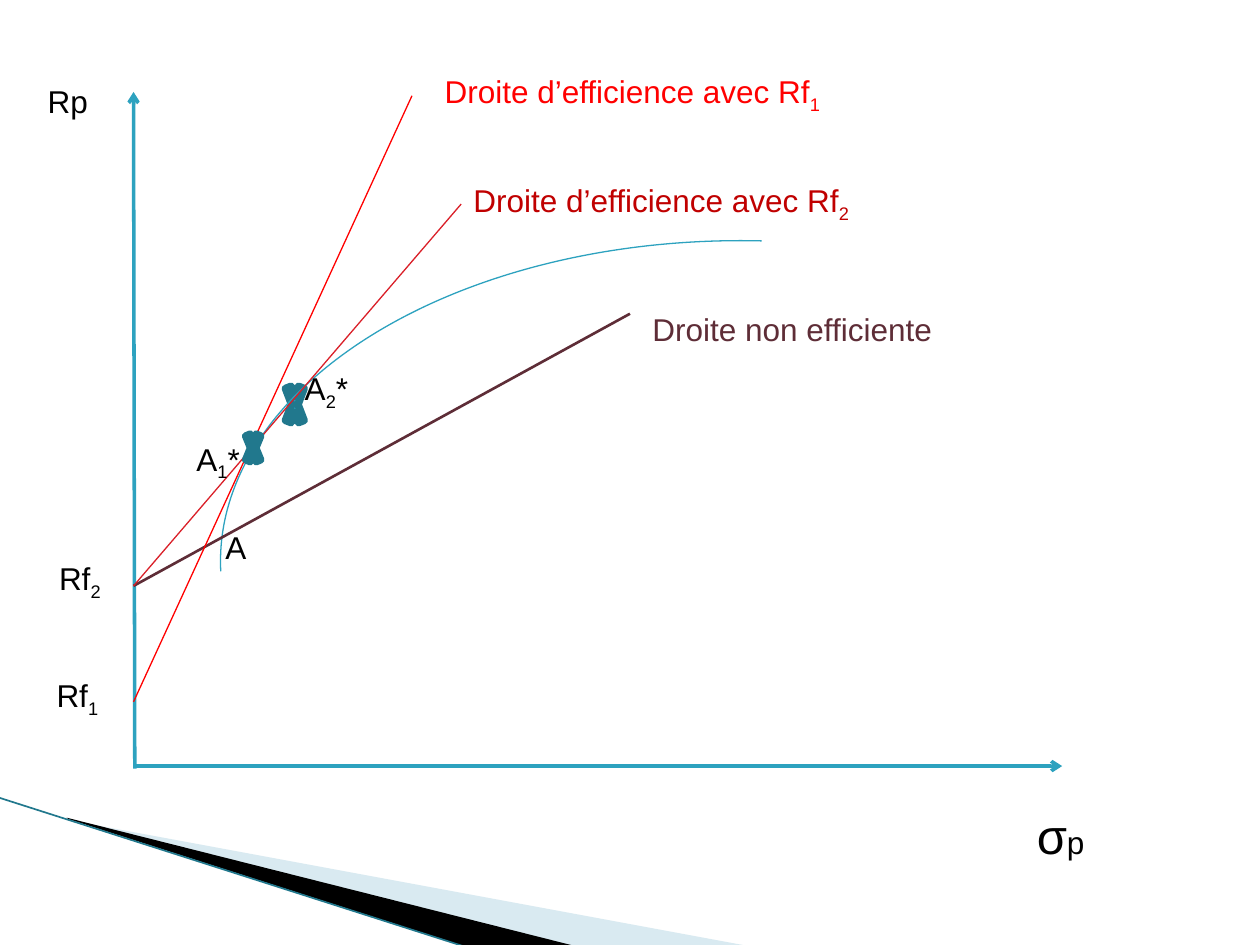
from lxml import etree
from pptx import Presentation
from pptx.dml.color import RGBColor
from pptx.enum.shapes import MSO_CONNECTOR, MSO_SHAPE
from pptx.oxml.ns import qn
from pptx.util import Inches, Pt

TEAL = RGBColor(0x2D, 0xA2, 0xBF)
DARK_TEAL = RGBColor(0x21, 0x78, 0x8D)
PALE_BLUE = RGBColor(0xA0, 0xCB, 0xDC)
BLACK = RGBColor(0, 0, 0)
PLUM = RGBColor(0x5E, 0x2D, 0x37)
CRIMSON = RGBColor(0xDA, 0x1F, 0x28)
DARK_RED = RGBColor(0xC0, 0, 0)
RED = RGBColor(0xFF, 0, 0)


def add_line(slide, start, end, color, width, arrow=False):
    line = slide.shapes.add_connector(MSO_CONNECTOR.STRAIGHT, *start, *end)
    line.line.color.rgb = color
    line.line.width = Pt(width)
    if arrow:
        etree.SubElement(line.line._get_or_add_ln(), qn("a:tailEnd"), type="arrow")
    etree.SubElement(line._element.spPr, qn("a:effectLst"))


def add_wedge(slide, points, color, opacity=100):
    builder = slide.shapes.build_freeform(*points[0], scale=1.0)
    builder.add_line_segments(points[1:], close=True)
    wedge = builder.convert_to_shape()
    wedge.shadow.inherit = False
    wedge.fill.solid()
    wedge.fill.fore_color.rgb = color
    wedge.line.fill.background()
    if opacity < 100:
        color_xml = wedge._element.spPr.find(qn("a:solidFill"))[0]
        etree.SubElement(color_xml, qn("a:alpha"), val=str(opacity * 1000))


def add_label(slide, position, width, height, runs, color=BLACK):
    """Write runs of (text, size, is_subscript) on one line."""
    label = slide.shapes.add_textbox(*position, Inches(width), Inches(height))
    label.text_frame.word_wrap = True
    paragraph = label.text_frame.paragraphs[0]
    paragraph.font.name = "Arial"
    paragraph.font.color.rgb = color
    for text, size, is_subscript in runs:
        run = paragraph.add_run()
        run.text = text
        run.font.size = Pt(size)
        if is_subscript:
            run.font._element.set("baseline", "-25000")


def indexed(base, index, suffix=""):
    runs = [(base, 18, False), (index, 18, True), (suffix, 18, False)]
    return [run for run in runs if run[0]]


def add_tangency_mark(slide, position, width, height):
    mark = slide.shapes.add_shape(
        MSO_SHAPE.MATH_MULTIPLY, *position, Inches(width), Inches(height))
    mark.shadow.inherit = False
    mark.fill.solid()
    mark.fill.fore_color.rgb = TEAL
    mark.line.color.rgb = DARK_TEAL
    mark.line.width = Pt(4.33)


def add_frontier(slide, position, width, height):
    frontier = slide.shapes.add_shape(
        MSO_SHAPE.ARC, *position, Inches(width), Inches(height))
    frontier.shadow.inherit = False
    frontier.adjustments[0] = 159.71
    frontier.adjustments[1] = 0.66
    frontier._element.spPr.find(qn("a:xfrm")).set("flipH", "1")
    frontier.fill.background()
    frontier.line.color.rgb = TEAL
    frontier.line.width = Pt(0.75)


def add_corner_decor(slide, left, top):
    def at(x, y):
        return left + Inches(x), top + Inches(y)

    add_wedge(slide, [at(0.55, 0.18), at(5.95, 1.18), at(4.56, 1.18), at(0.55, 0.17)],
              PALE_BLUE, opacity=40)
    add_wedge(slide, [at(0.53, 0.16), at(4.57, 1.18), at(3.72, 1.19), at(0.54, 0.17)],
              BLACK)
    add_line(slide, at(-0.01, 0), at(3.71, 1.19), DARK_TEAL, 0.95)


def add_efficiency_graph(slide, origin_x, origin_y):
    """Draw the graph from the origin of its axes, with y pointing up."""
    def at(x, y):
        return origin_x + Inches(x), origin_y - Inches(y)

    rf1, rf2 = at(0, 0.51), at(0, 1.43)

    add_tangency_mark(slide, at(1.18, 3.13), 0.2, 0.52)
    add_line(slide, at(0, 0), at(7.37, 0), TEAL, 2, arrow=True)
    add_line(slide, at(0.01, -0.02), at(0, 5.35), TEAL, 2, arrow=True)
    add_frontier(slide, at(0.69, 4.17), 8.25, 5.09)
    add_line(slide, rf2, at(3.94, 3.59), PLUM, 1.5)
    add_line(slide, rf2, at(2.6, 4.46), CRIMSON, 0.75)
    add_line(slide, rf1, at(2.21, 5.32), RED, 0.75)
    add_tangency_mark(slide, at(0.87, 2.72), 0.16, 0.39)

    add_label(slide, at(-0.78, 5.48), 0.98, 0.67, [("Rp", 18, False)])
    add_label(slide, at(7.07, -0.26), 0.98, 0.95, [("σ", 28, False), ("p", 18, False)])
    add_label(slide, at(-0.69, 1.69), 0.69, 0.4, indexed("Rf", "2"))
    add_label(slide, at(-0.71, 0.76), 0.69, 0.4, indexed("Rf", "1"))
    add_label(slide, at(1.26, 3.2), 0.69, 0.4, indexed("A", "2", "*"))
    add_label(slide, at(0.4, 2.64), 0.69, 0.4, indexed("A", "1", "*"))
    add_label(slide, at(0.63, 1.94), 0.69, 0.67, [("A", 18, False)])
    add_label(slide, at(2.6, 4.69), 3.86, 0.4,
              indexed("Droite d’efficience avec Rf", "2"), DARK_RED)
    add_label(slide, at(2.37, 5.56), 4.02, 0.4,
              indexed("Droite d’efficience avec Rf", "1"), RED)
    add_label(slide, at(4.02, 3.67), 3.86, 0.4,
              [("Droite non efficiente", 18, False)], PLUM)


def main():
    presentation = Presentation()
    presentation.slide_width = Inches(10)
    presentation.slide_height = Inches(7.5)
    slide = presentation.slides.add_slide(presentation.slide_layouts[6])
    add_corner_decor(slide, Inches(0), Inches(6.33))
    add_efficiency_graph(slide, Inches(1.06), Inches(6.08))
    presentation.save("out.pptx")


if __name__ == "__main__":
    main()
